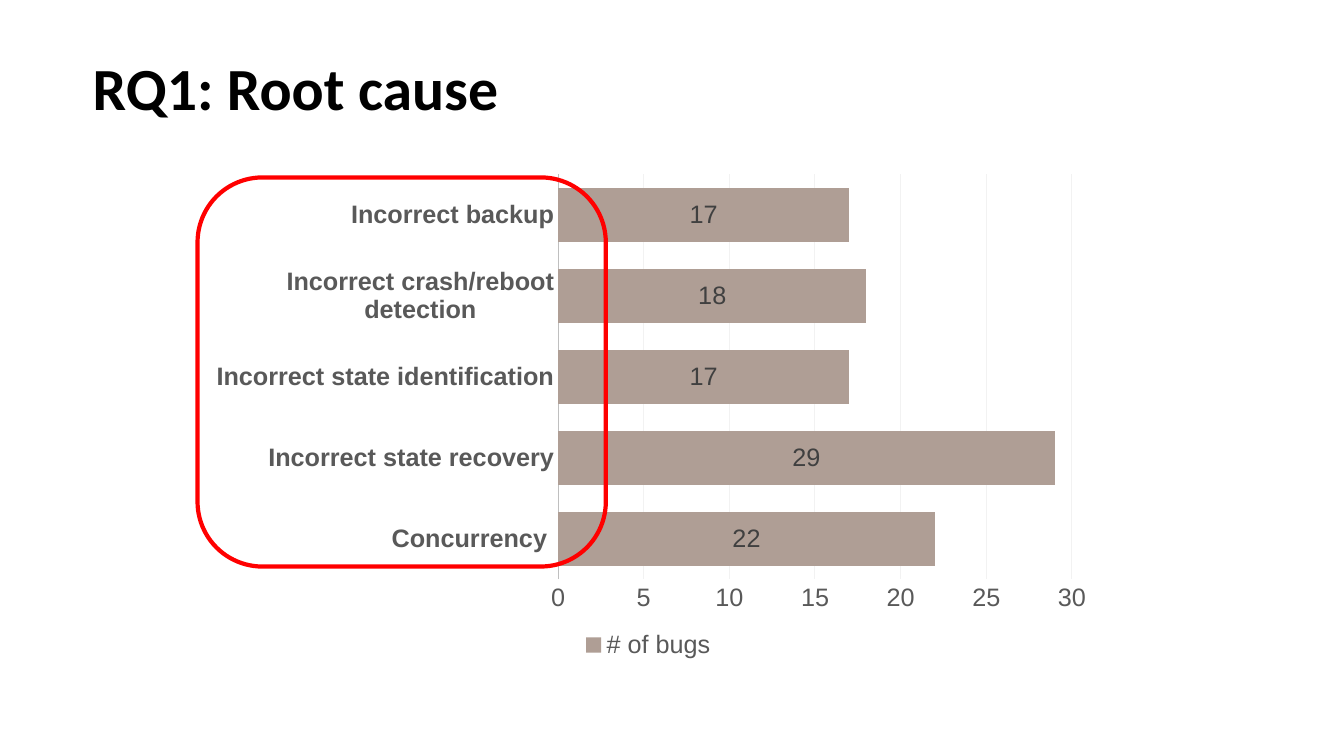
import pptx
import pptx.chart.data
import pptx.dml.color
import pptx.enum.chart
import pptx.enum.shapes
import pptx.enum.text
import pptx.util
from lxml import etree

RGBColor = pptx.dml.color.RGBColor
BLACK = RGBColor(0x00, 0x00, 0x00)
RED = RGBColor(0xFF, 0x00, 0x00)
BAR_TAUPE = RGBColor(0xAF, 0x9E, 0x95)
AXIS_TEXT = RGBColor(0x59, 0x59, 0x59)
LABEL_TEXT = RGBColor(0x40, 0x40, 0x40)
AXIS_LINE = RGBColor(0xBF, 0xBF, 0xBF)
GRID_LINE = RGBColor(0xF2, 0xF2, 0xF2)

SLIDE_WIDTH = pptx.util.Inches(13.33)
SLIDE_HEIGHT = pptx.util.Inches(7.5)

# left, top, width, height as percentages of the slide
TITLE_AREA = (6.15, 4.53, 88.82, 12.4)
CHART_AREA = (14.7, 21.73, 67.07, 66.13)
HIGHLIGHT_AREA = (14.7, 23.47, 30.38, 51.47)
# left, top, width, height as shares of the chart
PLOT_SHARES = {"x": 0.4, "y": 0.02, "w": 0.57, "h": 0.81}

BUGS_BY_CAUSE = {
    "Concurrency ": 22,
    "Incorrect state recovery": 29,
    "Incorrect state identification": 17,
    "Incorrect crash/reboot detection": 18,
    "Incorrect backup": 17,
}


def place(area):
    """Turn percentages of the slide into left, top, width and height."""
    sides = (SLIDE_WIDTH, SLIDE_HEIGHT) * 2
    return [round(side * share / 100) for side, share in zip(sides, area)]


def apply_format(target, values):
    for name, value in values.items():
        setattr(target, name, value)


def format_font(font, color, size=18, name="Arial", bold=False):
    apply_format(font, {"name": name, "size": pptx.util.Pt(size), "bold": bold})
    font.color.rgb = color


def format_line(line, color, width):
    line.color.rgb = color
    line.width = pptx.util.Pt(width)


def add_title(slide, text):
    title = slide.shapes.title
    apply_format(title, dict(zip(("left", "top", "width", "height"), place(TITLE_AREA))))
    frame = title.text_frame
    frame.text = text
    apply_format(frame, {
        "vertical_anchor": pptx.enum.text.MSO_ANCHOR.BOTTOM,
        "auto_size": pptx.enum.text.MSO_AUTO_SIZE.NONE,
        "word_wrap": True,
    })
    paragraph = frame.paragraphs[0]
    paragraph.alignment = pptx.enum.text.PP_ALIGN.LEFT
    paragraph.line_spacing = pptx.util.Pt(46.7)
    format_font(paragraph.runs[0].font, BLACK, 42.7, "Calibri", True)


def format_axes(chart):
    no_tick = pptx.enum.chart.XL_TICK_MARK.NONE
    for axis, bold in ((chart.category_axis, True), (chart.value_axis, False)):
        apply_format(axis, {"major_tick_mark": no_tick, "minor_tick_mark": no_tick})
        format_font(axis.tick_labels.font, AXIS_TEXT, bold=bold)
    format_line(chart.category_axis.format.line, AXIS_LINE, 0.75)
    apply_format(chart.value_axis, {
        "minimum_scale": 0, "maximum_scale": 30, "major_unit": 5,
        "has_major_gridlines": True,
    })
    chart.value_axis.format.line.fill.background()
    format_line(chart.value_axis.major_gridlines.format.line, GRID_LINE, 0.75)


def fix_plot_area(chart):
    """Pin the inner plot area to its shares of the chart."""
    namespace = "{http://schemas.openxmlformats.org/drawingml/2006/chart}"
    plot_area = chart.element.find(f".//{namespace}plotArea")
    for layout in plot_area.findall(f"{namespace}layout"):
        plot_area.remove(layout)
    layout = etree.Element(f"{namespace}layout")
    plot_area.insert(0, layout)
    manual = etree.SubElement(layout, f"{namespace}manualLayout")
    settings = {"layoutTarget": "inner", "xMode": "edge", "yMode": "edge", **PLOT_SHARES}
    for tag, value in settings.items():
        etree.SubElement(manual, namespace + tag, val=str(value))


def add_bug_chart(slide):
    data = pptx.chart.data.CategoryChartData()
    data.categories = list(BUGS_BY_CAUSE)
    data.add_series("# of bugs", list(BUGS_BY_CAUSE.values()))
    chart = slide.shapes.add_chart(
        pptx.enum.chart.XL_CHART_TYPE.BAR_STACKED, *place(CHART_AREA), data).chart
    apply_format(chart, {"has_title": False, "has_legend": True})
    format_font(chart.font, BLACK)
    apply_format(chart.legend, {
        "position": pptx.enum.chart.XL_LEGEND_POSITION.BOTTOM,
        "include_in_layout": False,
    })
    format_font(chart.legend.font, AXIS_TEXT)

    plot = chart.plots[0]
    apply_format(plot, {
        "gap_width": 50, "overlap": 100, "vary_by_categories": False,
        "has_data_labels": True,
    })
    apply_format(plot.data_labels, {
        "show_value": True,
        "position": pptx.enum.chart.XL_LABEL_POSITION.CENTER,
    })
    format_font(plot.data_labels.font, LABEL_TEXT)
    fill = plot.series[0].format.fill
    fill.solid()
    fill.fore_color.rgb = BAR_TAUPE
    format_axes(chart)
    fix_plot_area(chart)


def add_highlight(slide):
    highlight = slide.shapes.add_shape(
        pptx.enum.shapes.MSO_SHAPE.ROUNDED_RECTANGLE, *place(HIGHLIGHT_AREA))
    highlight.shadow.inherit = False
    highlight.fill.background()
    format_line(highlight.line, RED, 3)


def main():
    presentation = pptx.Presentation()
    apply_format(presentation, {"slide_width": SLIDE_WIDTH, "slide_height": SLIDE_HEIGHT})
    slide = presentation.slides.add_slide(presentation.slide_layouts.get_by_name("Title Only"))
    add_title(slide, "RQ1: Root cause")
    add_bug_chart(slide)
    add_highlight(slide)
    presentation.save("out.pptx")


if __name__ == "__main__":
    main()
